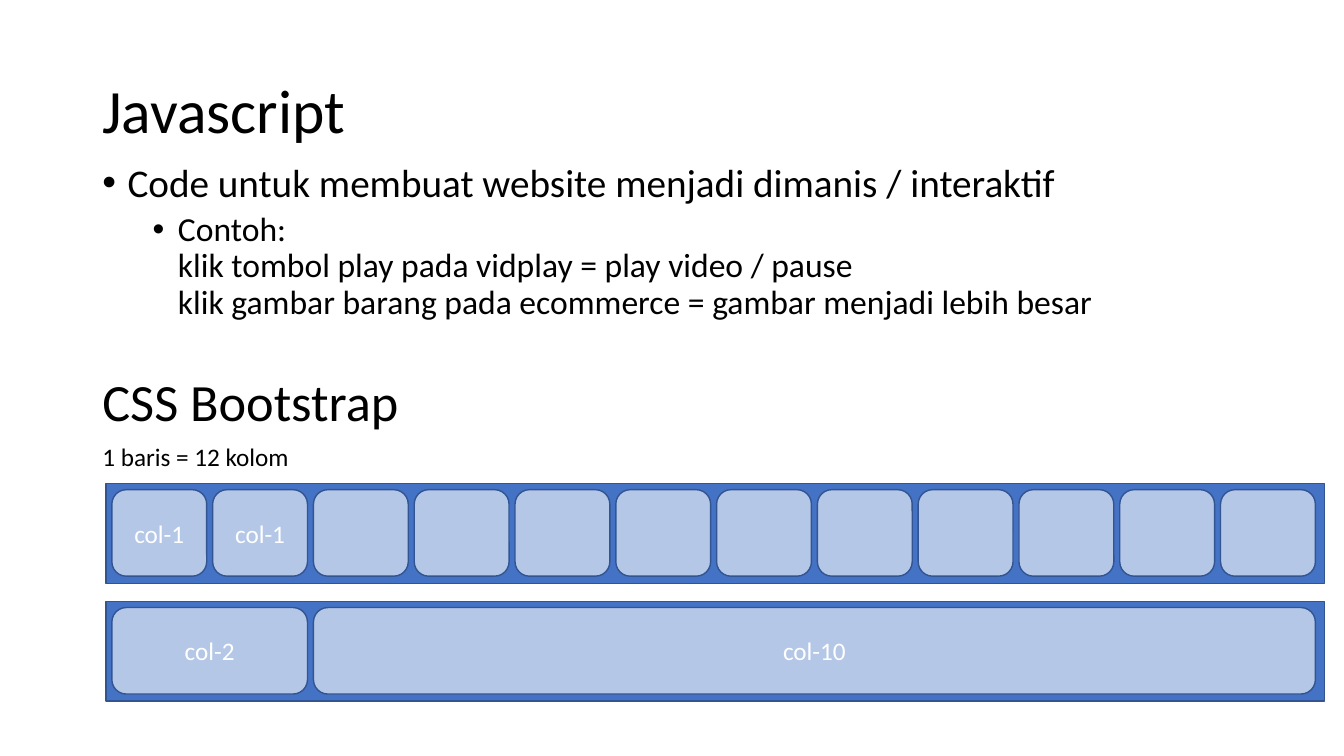
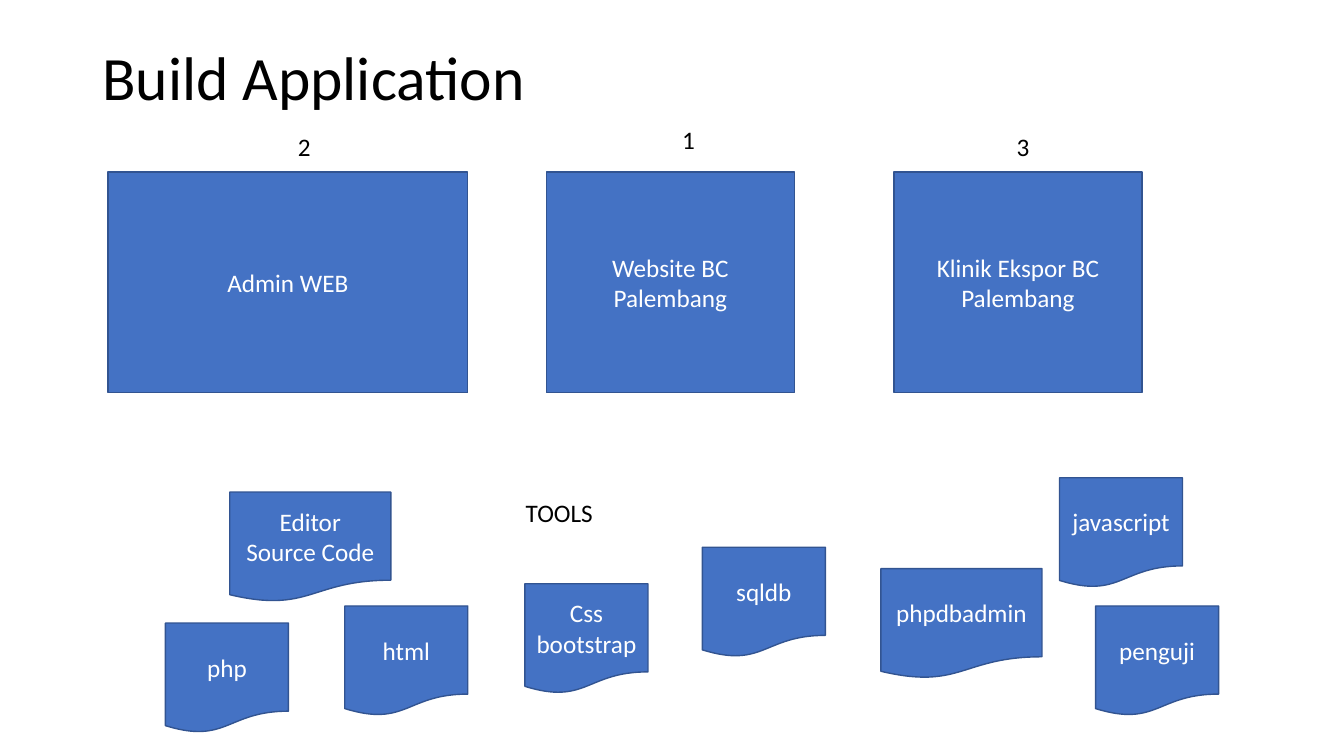
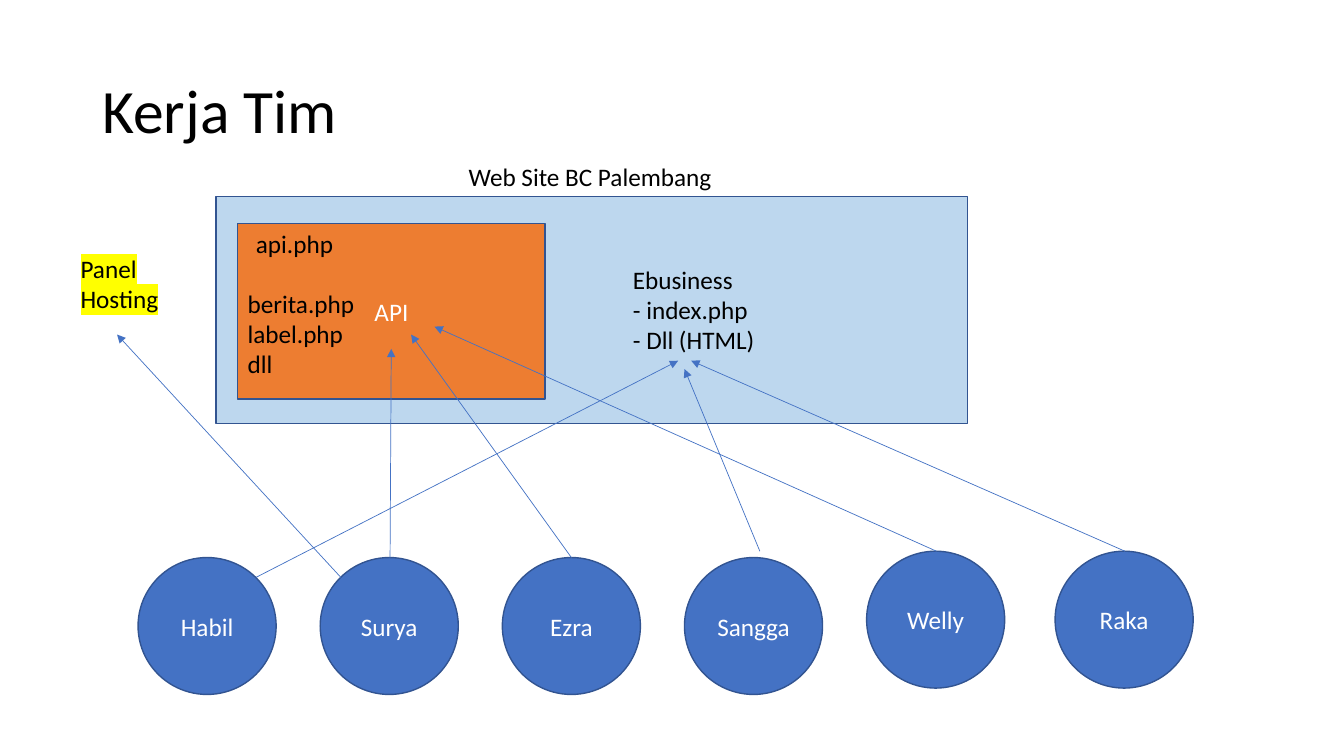
"""Build three slides about web development lessons and team work."""
import dataclasses

import lxml.etree
import pptx
import pptx.dml.color
import pptx.enum.shapes
import pptx.enum.text
import pptx.oxml.ns
import pptx.util

Cm = pptx.util.Cm
Pt = pptx.util.Pt
SHAPE = pptx.enum.shapes.MSO_SHAPE
ANCHOR = pptx.enum.text.MSO_ANCHOR
ALIGN = pptx.enum.text.PP_ALIGN


@dataclasses.dataclass(frozen=True)
class Theme:
    """Colours, font and type sizes shared by the slides."""
    font: str = "Calibri"
    text: str = "000000"
    light_text: str = "FFFFFF"
    blue: str = "4472C4"
    outline: str = "325491"
    column: str = "B4C7E7"
    site: str = "BDD7EE"
    orange: str = "ED7D31"
    highlight: str = "FFFF00"
    title_size: float = 44
    heading_size: float = 37.4
    bullet_sizes: tuple = (28, 24)
    label_size: float = 18
    margin: float = 2.33
    content_width: float = 29.21


def rgb(value):
    """Return a colour object for a hexadecimal string."""
    return pptx.dml.color.RGBColor.from_string(value)


def add_xml(parent, tag, **attributes):
    """Append a drawing element to a parent and return it."""
    return lxml.etree.SubElement(parent, pptx.oxml.ns.qn(tag), attributes)


class Deck:
    """Hold the theme and the current slide, and draw elements on it."""

    def __init__(self, theme):
        """Start a widescreen presentation."""
        self.theme = theme
        self.slide = None
        self.presentation = pptx.Presentation()
        self.presentation.slide_width = Cm(33.87)
        self.presentation.slide_height = Cm(19.05)

    def new_slide(self, title, title_height=3.68):
        """Add a blank slide with a title."""
        layout = self.presentation.slide_layouts[6]
        self.slide = self.presentation.slides.add_slide(layout)
        self.heading(title, 1.02, title_height, self.theme.title_size, 0.9)

    def style(self, paragraph, size, color):
        """Set the font of a paragraph."""
        font = paragraph.font
        font.name = self.theme.font
        font.size = Pt(size)
        font.color.rgb = rgb(color)

    def text(self, text, left, top, width, height=1.02, size=None, wrap=False):
        """Add a plain text box and return its text frame."""
        box = self.slide.shapes.add_textbox(Cm(left), Cm(top), Cm(width), Cm(height))
        frame = box.text_frame
        frame.word_wrap = wrap
        frame.text = text
        for paragraph in frame.paragraphs:
            self.style(paragraph, size or self.theme.label_size, self.theme.text)
        return frame

    def heading(self, text, top, height, size, line_spacing):
        """Add a heading across the content width."""
        frame = self.text(text, self.theme.margin, top, self.theme.content_width,
                          height, size, wrap=True)
        frame.vertical_anchor = ANCHOR.MIDDLE
        frame.paragraphs[0].line_spacing = line_spacing

    def bullets(self, items, top, height):
        """Add a bullet list with one deeper level for each item."""
        frame = self.text("\n".join(items), self.theme.margin, top,
                          self.theme.content_width, height, wrap=True)
        for level, paragraph in enumerate(frame.paragraphs):
            paragraph.level = level
            paragraph.line_spacing = 0.9
            paragraph.space_before = Pt(10 - 5 * level)
            paragraph.font.size = Pt(self.theme.bullet_sizes[level])
            properties = paragraph._p.get_or_add_pPr()
            properties.set("marL", str(Cm(0.635 + 1.27 * level)))
            properties.set("indent", str(-Cm(0.635)))
            defaults = properties.find(pptx.oxml.ns.qn("a:defRPr"))
            for tag, name, value in (("a:buFont", "typeface", "Arial"),
                                     ("a:buChar", "char", "•")):
                defaults.addprevious(add_xml(properties, tag, **{name: value}))

    def highlight(self, frame):
        """Mark every run of a text frame with the highlight colour."""
        for paragraph in frame.paragraphs:
            for run in paragraph.runs:
                marker = add_xml(run._r.get_or_add_rPr(), "a:highlight")
                add_xml(marker, "a:srgbClr", val=self.theme.highlight)

    def shape(self, kind, text, left, top, width, height, fill=None):
        """Add an outlined shape with centred light text."""
        shape = self.slide.shapes.add_shape(kind, Cm(left), Cm(top), Cm(width), Cm(height))
        shape.shadow.inherit = False
        shape.fill.solid()
        shape.fill.fore_color.rgb = rgb(fill or self.theme.blue)
        shape.line.color.rgb = rgb(self.theme.outline)
        shape.line.width = Pt(1)
        frame = shape.text_frame
        frame.word_wrap = True
        frame.vertical_anchor = ANCHOR.MIDDLE
        frame.text = text
        for paragraph in frame.paragraphs:
            paragraph.alignment = ALIGN.CENTER
            self.style(paragraph, self.theme.label_size, self.theme.light_text)

    def grid_row(self, top, columns):
        """Add a grid row from pairs of label and column span."""
        unit, gap = 2.54, 0.15
        self.shape(SHAPE.RECTANGLE, "", 2.67, top, 30.71, 2.51)
        left = 2.82
        for label, span in columns:
            self.shape(SHAPE.ROUNDED_RECTANGLE, label, left, top + gap,
                       span * unit - gap, 2.18, self.theme.column)
            left += span * unit

    def arrow(self, start, end):
        """Add a thin arrow between two points."""
        line = self.slide.shapes.add_connector(
            pptx.enum.shapes.MSO_CONNECTOR.STRAIGHT, *map(Cm, start + end))
        line.line.color.rgb = rgb(self.theme.blue)
        line.line.width = Pt(0.5)
        add_xml(line.line._get_or_add_ln(), "a:tailEnd", type="triangle")
        add_xml(line._element.spPr, "a:effectLst")


def build_javascript(deck):
    """Build the slide on scripts and the column grid."""
    deck.new_slide("Javascript")
    deck.bullets(["Code untuk membuat website menjadi dimanis / interaktif",
                  "Contoh:\vklik tombol play pada vidplay = play video / pause"
                  "\vklik gambar barang pada ecommerce = gambar menjadi lebih besar"],
                 3.99, 5.08)
    deck.heading("CSS Bootstrap", 9.53, 1.5, deck.theme.heading_size, 0.7)
    deck.text("1 baris = 12 kolom", deck.theme.margin, 11, 5.26)
    deck.grid_row(12.19, [("col-1", 1)] * 2 + [("", 1)] * 10)
    deck.grid_row(15.16, [("col-2", 2), ("col-10", 10)])


def build_application(deck):
    """Build the slide on applications and tools."""
    deck.new_slide("Build Application", 2.01)
    for name, left, width in (("Admin WEB", 2.72, 9.07),
                              ("Website BC Palembang", 13.77, 6.25),
                              ("Klinik Ekspor BC Palembang", 22.53, 6.25)):
        deck.shape(SHAPE.RECTANGLE, name, left, 4.34, width, 5.56)
    for number, left, top in (("1", 16.94, 3.02), ("2", 7.26, 3.18), ("3", 25.37, 3.18)):
        deck.text(number, left, top, 0.84)
    deck.text("TOOLS", 13, 12.4, 2.21)
    for tool, left, top, width in (("php", 4.17, 15.7, 3.1),
                                   ("html", 8.69, 15.27, 3.1),
                                   ("Css bootstrap", 13.23, 14.71, 3.1),
                                   ("sqldb", 17.7, 13.79, 3.1),
                                   ("phpdbadmin", 22.2, 14.33, 4.06),
                                   ("penguji", 27.61, 15.27, 3.1),
                                   ("Editor\nSource Code", 5.79, 12.4, 4.06),
                                   ("javascript", 26.7, 12.04, 3.1)):
        deck.shape(SHAPE.FLOWCHART_DOCUMENT, tool, left, top, width, 2.77)


def build_team(deck):
    """Build the slide on who works on which part."""
    deck.new_slide("Kerja Tim")
    deck.shape(SHAPE.RECTANGLE, "", 5.44, 4.95, 18.95, 5.72, deck.theme.site)
    deck.text("Web Site BC Palembang", 11.56, 3.94, 6.71)
    deck.shape(SHAPE.RECTANGLE, "API", 5.99, 5.64, 7.75, 4.42, deck.theme.orange)
    deck.text("api.php", 6.2, 5.64, 2.49)
    deck.text("berita.php\vlabel.php\ndll", 5.99, 7.14, 3.23, 2.57)
    deck.text("Ebusiness\v- index.php\n- Dll (HTML)", 15.7, 6.53, 5.26, 2.57, wrap=True)
    deck.highlight(deck.text("Panel Hosting", 1.78, 6.25, 2.74, 1.8, wrap=True))
    low, high = 14.05, 13.89
    for member, left, top in (("Habil", 3.48, low), ("Surya", 8.07, low),
                              ("Ezra", 12.66, low), ("Sangga", 17.25, low),
                              ("Welly", 21.84, high), ("Raka", 26.59, high)):
        deck.shape(SHAPE.OVAL, member, left, top, 3.48, 3.45)
    for start, end in (((9.83, low), (9.86, 8.79)),
                       ((14.4, low), (10.36, 8.43)),
                       ((6.45, 14.55), (17.09, 9.09)),
                       ((19.15, high), (17.25, 9.3)),
                       ((23.6, high), (10.95, 8.23)),
                       ((28.35, high), (17.42, 9.09)),
                       ((8.59, 14.55), (2.95, 8.43))):
        deck.arrow(start, end)


deck = Deck(Theme())
build_javascript(deck)
build_application(deck)
build_team(deck)
deck.presentation.save("out.pptx")
